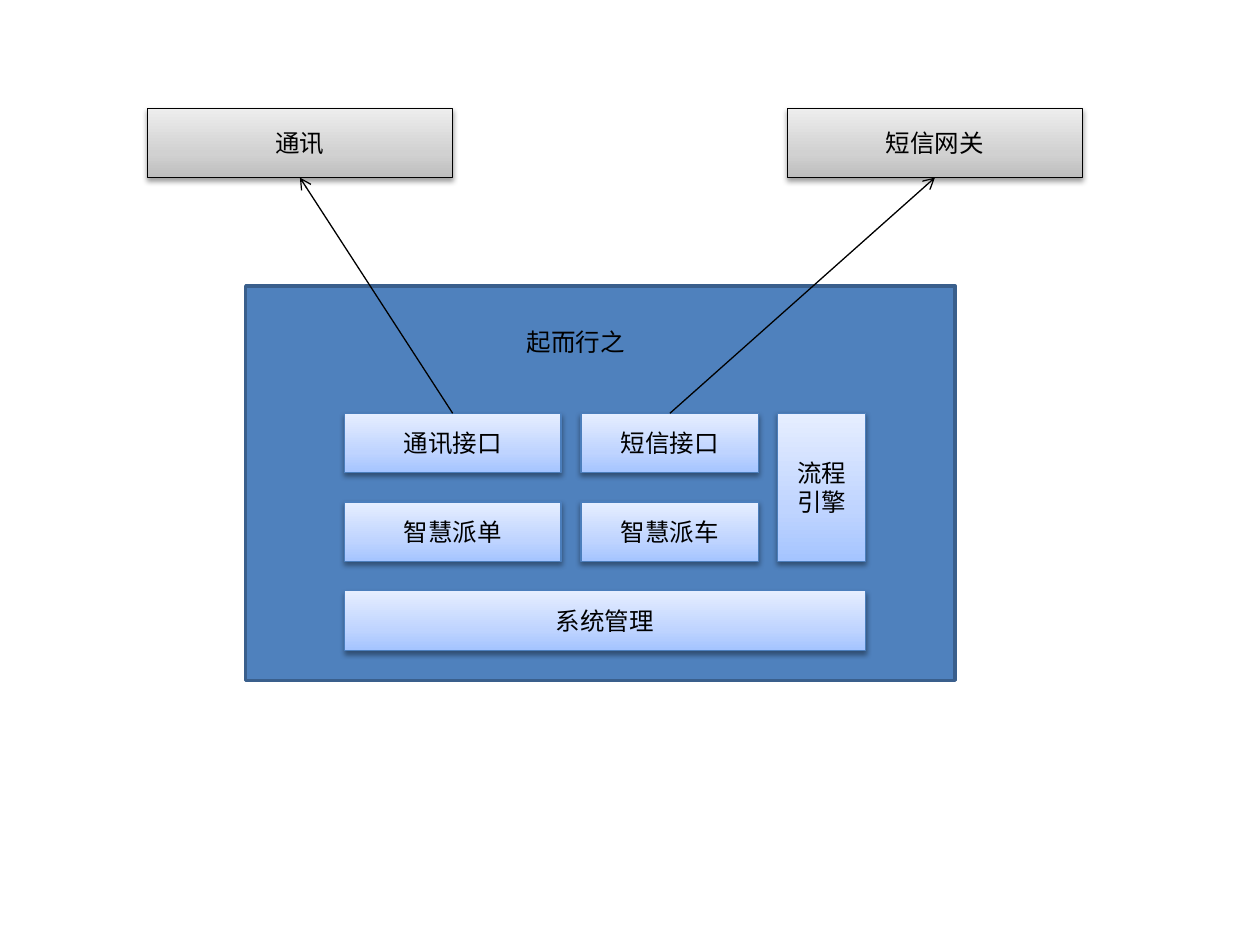
from copy import deepcopy

from pptx import Presentation
from pptx.dml.color import RGBColor
from pptx.enum.shapes import MSO_CONNECTOR as CONN, MSO_SHAPE as SHAPE
from pptx.enum.text import MSO_ANCHOR as ANCHOR, MSO_AUTO_SIZE as AUTO, PP_ALIGN as ALIGN
from pptx.oxml import parse_xml
from pptx.oxml.ns import nsdecls, qn
from pptx.util import Pt

GREY = ("BDBDBD", "D1D1D1", "EEEEEE")
BLUE = ("A4C4FF", "BFD4FF", "E6EEFF")
SHADOW = (
    f'<a:effectLst {nsdecls("a")}><a:outerShdw blurRad="{Pt(3.1)}" dist="{Pt(1.6)}" '
    'dir="5400000" rotWithShape="0"><a:srgbClr val="000000"><a:alpha val="38000"/>'
    '</a:srgbClr></a:outerShdw></a:effectLst>'
)


def rgb(value):
    return RGBColor.from_string(value)


def write(sp, text):
    tf = sp.text_frame
    tf.word_wrap = True
    p = tf.paragraphs[0]
    p.alignment = ALIGN.CENTER
    r = p.add_run()
    r.text = text
    r.font.name = "Calibri"
    r.font.size = Pt(14)
    r.font.color.rgb = rgb("000000")


prs = Presentation()
prs.slide_width, prs.slide_height = Pt(720), Pt(540)
s = prs.slides.add_slide(prs.slide_layouts[6])

system = s.shapes.add_shape(SHAPE.RECTANGLE, Pt(140.4), Pt(163.4), Pt(405.4), Pt(225.4))
system.shadow.inherit = False
system.fill.solid()
system.fill.fore_color.rgb = rgb("4F81BD")
system.line.color.rgb = rgb("3A5F8C")
system.line.width = Pt(2)

label = s.shapes.add_textbox(Pt(208.1), Pt(183.6), Pt(241.9), Pt(24.5))
write(label, "起而行之")
label.text_frame.auto_size = AUTO.SHAPE_TO_FIT_TEXT

col1, col2, col3 = 196.8, 332, 444.4
w1, w2, w3 = 123.8, 101.6, 50.3
row1, row2, row3 = (236.2 + 50.7 * i for i in range(3))
row_h = 34

boxes = [
    ("通讯", 84.2, 61.9, 174.4, 39.6, GREY, "000000"),
    ("短信网关", 450, 61.9, 168.5, 39.6, GREY, "000000"),
    ("系统管理", col1, row3, col3 + w3 - col1, row_h, BLUE, "4B7EBC"),
    ("短信接口", col2, row1, w2, row_h, BLUE, "4B7EBC"),
    ("流程引擎", col3, row1, w3, row2 + row_h - row1, BLUE, "4B7EBC"),
    ("智慧派单", col1, row2, w1, row_h, BLUE, "4B7EBC"),
    ("智慧派车", col2, row2, w2, row_h, BLUE, "4B7EBC"),
    ("通讯接口", col1, row1, w1, row_h, BLUE, "4B7EBC"),
]
placed = {}
for text, x, y, w, h, colors, edge in boxes:
    sp = s.shapes.add_shape(SHAPE.RECTANGLE, Pt(x), Pt(y), Pt(w), Pt(h))
    sp.fill.gradient()
    sp.fill.gradient_angle = 90
    stops = sp._element.spPr.find(".//" + qn("a:gsLst"))
    stops.append(deepcopy(stops[0]))
    for stop, position, color in zip(sp.fill.gradient_stops, (0, 0.35, 1), colors):
        stop.position = position
        stop.color.rgb = rgb(color)
    sp.line.color.rgb = rgb(edge)
    sp.line.width = Pt(0.75)
    sp._element.spPr.append(parse_xml(SHADOW))
    sp.text_frame.vertical_anchor = ANCHOR.MIDDLE
    write(sp, text)
    placed[text] = sp

for start, end in (("通讯接口", "通讯"), ("短信接口", "短信网关")):
    c = s.shapes.add_connector(CONN.STRAIGHT, 0, 0, 0, 0)
    c.begin_connect(placed[start], 0)
    c.end_connect(placed[end], 2)
    c.line.color.rgb = rgb("000000")
    c.line.width = Pt(0.75)
    c.line._get_or_add_ln().append(parse_xml(f'<a:tailEnd {nsdecls("a")} type="arrow"/>'))
    c._element.spPr.append(parse_xml(f'<a:effectLst {nsdecls("a")}/>'))

prs.save("out.pptx")
